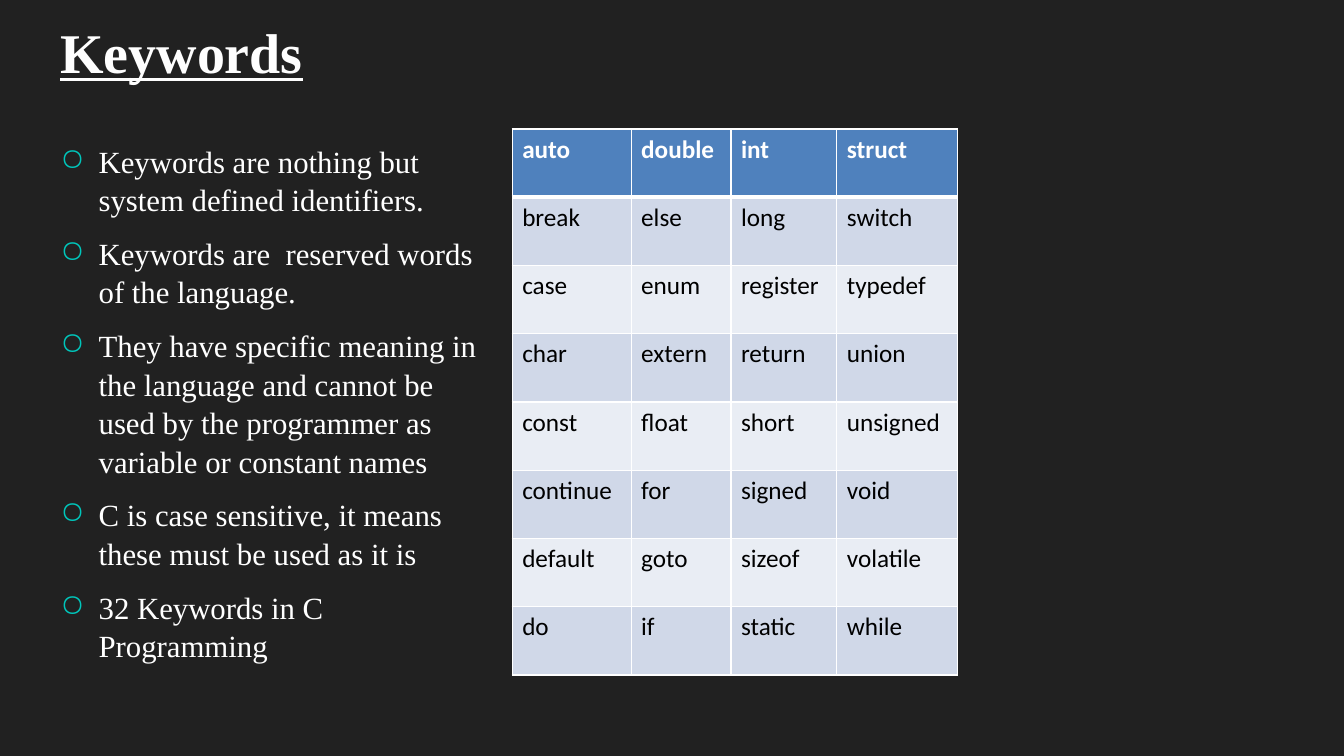
from lxml import etree
from pptx import Presentation
from pptx.dml.color import RGBColor
from pptx.enum.text import MSO_ANCHOR
from pptx.oxml.ns import qn
from pptx.util import Inches, Pt

TITLE = "Keywords"
POINTS = [
    "Keywords are nothing but system defined identifiers.",
    "Keywords are  reserved words of the language.",
    "They have specific meaning in the language and cannot be used by the programmer as variable or constant names",
    "C is case sensitive, it means these must be used as it is",
    "32 Keywords in C Programming",
]
KEYWORD_ROWS = [
    ("auto", "double", "int", "struct"),
    ("break", "else", "long", "switch"),
    ("case", "enum", "register", "typedef"),
    ("char", "extern", "return", "union"),
    ("const", "float", "short", "unsigned"),
    ("continue", "for", "signed", "void"),
    ("default", "goto", "sizeof", "volatile"),
    ("do", "if", "static", "while"),
]
COLUMN_WIDTHS = (1.18, 0.99, 1.05, 1.2)
CONTENT_TOP, CONTENT_WIDTH, CONTENT_HEIGHT = 1.28, 4.42, 5.42

BACKGROUND = RGBColor(0x21, 0x21, 0x21)
OFF_WHITE = RGBColor(0xFE, 0xFE, 0xFE)
WHITE = RGBColor(0xFF, 0xFF, 0xFF)
BLACK = RGBColor(0, 0, 0)
TEAL = RGBColor(0x00, 0xC6, 0xBB)
HEADER_BLUE = RGBColor(0x4F, 0x81, 0xBD)
BANDS = (RGBColor(0xE9, 0xED, 0xF4), RGBColor(0xD0, 0xD8, 0xE8))
SERIF, SANS = "Times New Roman", "Calibri"
BOTTOM, MIDDLE = MSO_ANCHOR.BOTTOM, MSO_ANCHOR.MIDDLE


def add_color(parent, color):
    etree.SubElement(parent, qn("a:srgbClr"), val=str(color))


def add_bullet(para):
    properties = para._p.get_or_add_pPr()
    properties.set("marL", str(Inches(0.38)))
    properties.set("indent", str(-Inches(0.38)))
    add_color(etree.SubElement(properties, qn("a:buClr")), TEAL)
    etree.SubElement(properties, qn("a:buChar"), char="○")


def write_text(frame, lines, *, font, size, color, bold=False, underline=False,
               bullets=False, spacing=None, before=0, after=0):
    frame.word_wrap = True
    for index, line in enumerate(lines):
        para = frame.add_paragraph() if index else frame.paragraphs[0]
        if bullets:
            add_bullet(para)
        if spacing:
            para.line_spacing = spacing
        para.space_before = Pt(before if index else 0)
        para.space_after = Pt(after)
        span = para.add_run()
        span.text = line
        span.font.name = font
        span.font.size = Pt(size)
        span.font.color.rgb = color
        span.font.bold = bold
        span.font.underline = underline


def add_text_box(page, left, top, width, height, anchor, lines, **style):
    box = page.shapes.add_textbox(Inches(left), Inches(top), Inches(width), Inches(height))
    write_text(box.text_frame, lines, **style)
    box.text_frame.vertical_anchor = anchor


def set_borders(cell, **widths):
    properties = cell._tc.get_or_add_tcPr()
    for position, side in enumerate("LRTB"):
        line = etree.Element(qn(f"a:ln{side}"), w=str(Pt(widths.get(side, 1))))
        add_color(etree.SubElement(line, qn("a:solidFill")), WHITE)
        properties.insert(position, line)


def add_keyword_table(page):
    table = page.shapes.add_table(
        len(KEYWORD_ROWS), len(COLUMN_WIDTHS), Inches(5.08), Inches(CONTENT_TOP),
        Inches(CONTENT_WIDTH), Inches(CONTENT_HEIGHT)).table
    for column, width in zip(table.columns, COLUMN_WIDTHS):
        column.width = Inches(width)
    for row_index, words in enumerate(KEYWORD_ROWS):
        header = row_index == 0
        for column_index, word in enumerate(words):
            cell = table.cell(row_index, column_index)
            cell.fill.solid()
            cell.fill.fore_color.rgb = HEADER_BLUE if header else BANDS[row_index % 2]
            set_borders(cell, T=3 if row_index == 1 else 1, B=3 if header else 1)
            write_text(cell.text_frame, [word], font=SANS, size=18,
                       color=WHITE if header else BLACK, bold=header)


def main():
    deck = Presentation()
    deck.slide_width, deck.slide_height = Inches(13.33), Inches(7.5)
    page = deck.slides.add_slide(deck.slide_layouts[6])
    page.background.fill.solid()
    page.background.fill.fore_color.rgb = BACKGROUND
    add_text_box(page, 0.5, 0.25, 9, 0.64, BOTTOM, [TITLE],
                 font=SERIF, size=40, color=OFF_WHITE, bold=True, underline=True)
    add_text_box(page, 0.5, CONTENT_TOP, CONTENT_WIDTH, CONTENT_HEIGHT, MIDDLE, POINTS,
                 font=SERIF, size=22, color=WHITE, bullets=True,
                 spacing=1.05, before=4.4, after=6)
    add_keyword_table(page)
    deck.save("out.pptx")


if __name__ == "__main__":
    main()
